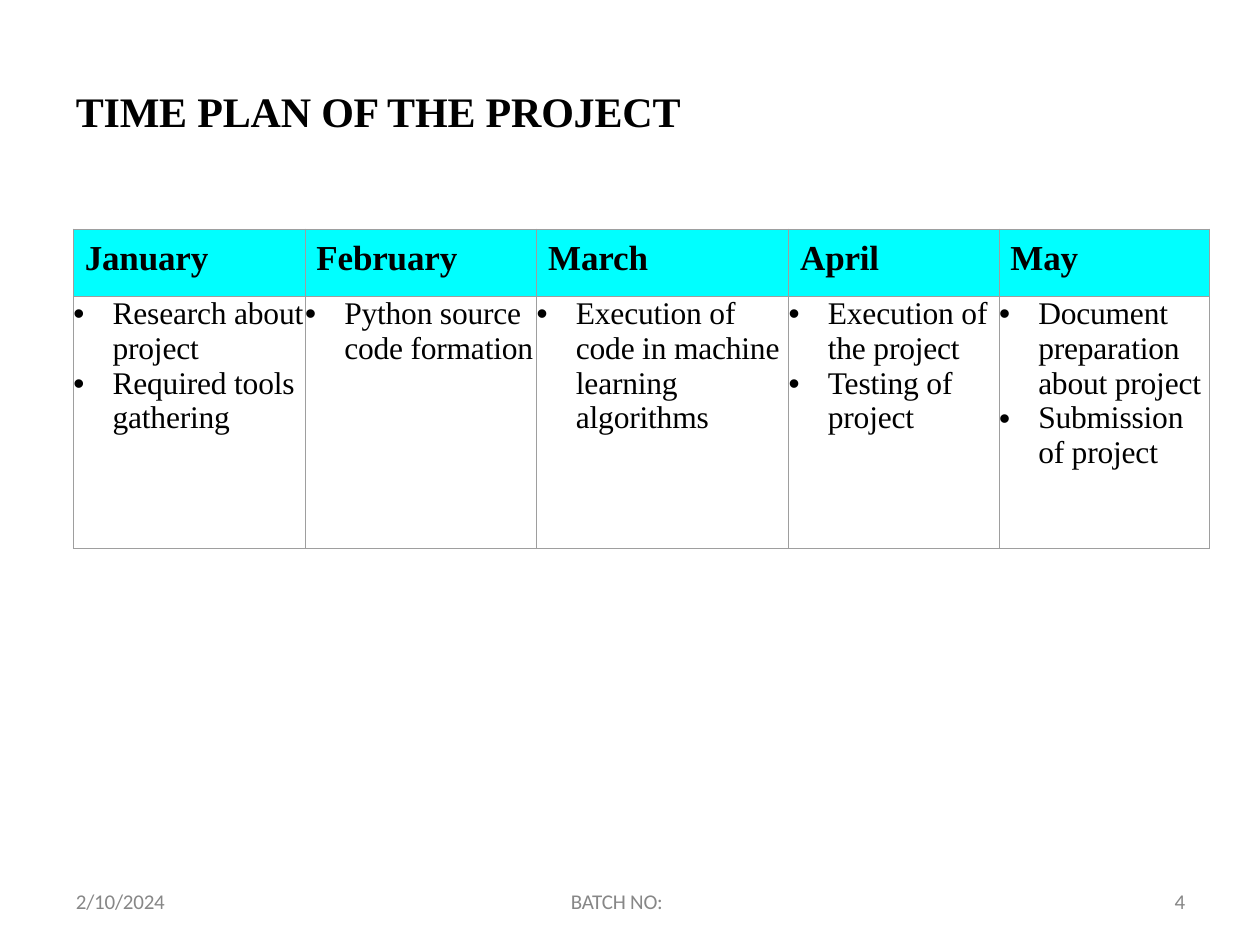
import pptx
import pptx.dml.color
import pptx.oxml.ns
import pptx.util
from lxml import etree
from pptx.util import Cm, Pt

COLORS = {"text": "000000", "footer": "878787", "header": "00FFFF", "border": "9E9E9E"}
SERIF = "Times New Roman"
TITLE = {"name": SERIF, "size": Pt(24), "bold": True}
HEADER = {"name": SERIF, "size": Pt(20), "bold": True}
BODY = {"name": SERIF, "size": Pt(18), "bold": False}
FOOTER = {"name": "Calibri", "size": Pt(12)}

# month, column width in cm, tasks
PLAN = [
    ("January", 4.67, ["Research about project", "Required tools gathering"]),
    ("February", 4.67, ["Python source code formation"]),
    ("March", 5.08, ["Execution of code in machine learning algorithms"]),
    ("April", 4.24, ["Execution of the project", "Testing of project"]),
    ("May", 4.24, ["Document preparation about project", "Submission of project"]),
]
ROW_HEIGHTS = (1.35, 5.08)
FOOTERS = [
    (1.5, 2.03, 0.03, "2/10/2024"),
    (11.48, 2.01, 0.03, "BATCH NO:"),
    (23.6, 0.36, 0.08, "4"),
]


def rgb(key):
    return pptx.dml.color.RGBColor.from_string(COLORS[key])


def sub(parent, tag, **attrs):
    return etree.SubElement(parent, pptx.oxml.ns.qn(tag), attrs)


def write(p, text, font, color="text", spacing=-10):
    """Add one run; spacing is in hundredths of a point."""
    r = p.add_run()
    r.text = text
    for name, value in font.items():
        setattr(r.font, name, value)
    r.font.color.rgb = rgb(color)
    if spacing:
        r.font._element.set("spc", str(spacing))


def set_indent(p, left, first=0):
    pPr = p._p.get_or_add_pPr()
    pPr.set("marL", str(Cm(left)))
    pPr.set("indent", str(Cm(first)))
    return pPr


def set_margins(target, top=0):
    for side in ("left", "right", "bottom"):
        setattr(target, f"margin_{side}", 0)
    target.margin_top = Cm(top)


def add_text(s, left, top, width, height, indent=0.03, inset=0):
    """Add a text box and return its first paragraph."""
    tf = s.shapes.add_textbox(Cm(left), Cm(top), Cm(width), Cm(height)).text_frame
    tf.word_wrap = True
    set_margins(tf, inset)
    p = tf.paragraphs[0]
    set_indent(p, indent)
    return p


def set_borders(cell):
    tcPr = cell._tc.get_or_add_tcPr()
    for side in "LRTB":
        ln = sub(tcPr, f"a:ln{side}", w=str(Pt(0.75)))
        sub(sub(ln, "a:solidFill"), "a:srgbClr", val=COLORS["border"])


def fill_header(cell, month):
    set_margins(cell, 0.2)
    set_borders(cell)
    cell.fill.solid()
    cell.fill.fore_color.rgb = rgb("header")
    p = cell.text_frame.paragraphs[0]
    p.space_before = Pt(6)
    set_indent(p, 0.23)
    write(p, month, HEADER)


def fill_tasks(cell, tasks):
    set_margins(cell)
    set_borders(cell)
    cell.fill.background()
    tf = cell.text_frame
    for i, task in enumerate(tasks):
        p = tf.add_paragraph() if i else tf.paragraphs[0]
        pPr = set_indent(p, 0.79, -0.79)
        sub(pPr, "a:buFont", typeface="Arial")
        sub(pPr, "a:buChar", char="•")
        write(p, task, BODY)


def add_plan(s):
    width = sum(w for _, w, _ in PLAN)
    table = s.shapes.add_table(2, len(PLAN), Cm(1.48), Cm(4.62),
                               Cm(width), Cm(sum(ROW_HEIGHTS))).table
    for row, height in zip(table.rows, ROW_HEIGHTS):
        row.height = Cm(height)
    for col, (month, width, tasks) in enumerate(PLAN):
        table.columns[col].width = Cm(width)
        fill_header(table.cell(0, col), month)
        fill_tasks(table.cell(1, col), tasks)


def main():
    prs = pptx.Presentation()
    prs.slide_width, prs.slide_height = Cm(25.4), Cm(19.05)
    s = prs.slides.add_slide(prs.slide_layouts[6])
    for left, width, indent, text in FOOTERS:
        p = add_text(s, left, 17.98, width, 0.48, indent)
        p.line_spacing = Pt(12.4)
        write(p, text, FOOTER, "footer")
    p = add_text(s, 1.5, 1.7, 12.32, 1.09, inset=0.03)
    p.space_before = Pt(1)
    write(p, "TIME PLAN OF THE PROJECT", TITLE)
    add_plan(s)
    prs.save("out.pptx")


if __name__ == "__main__":
    main()
